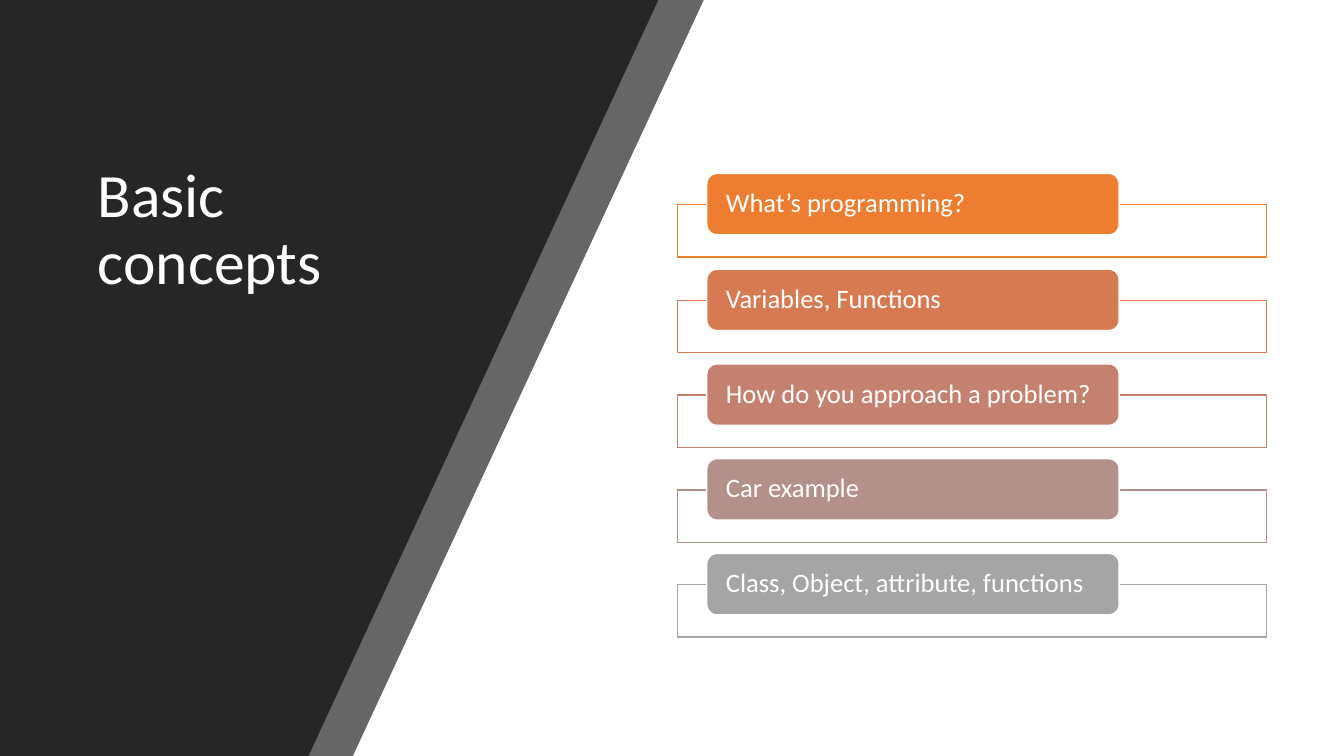
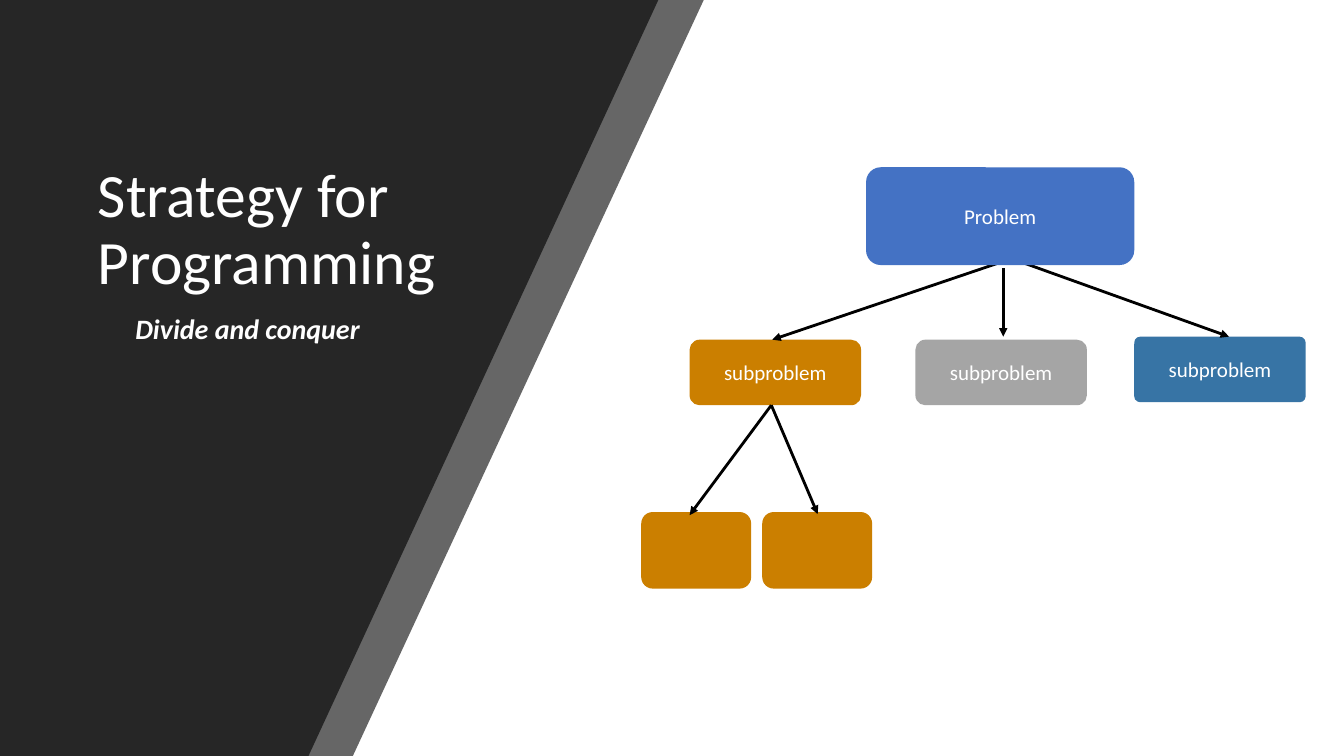
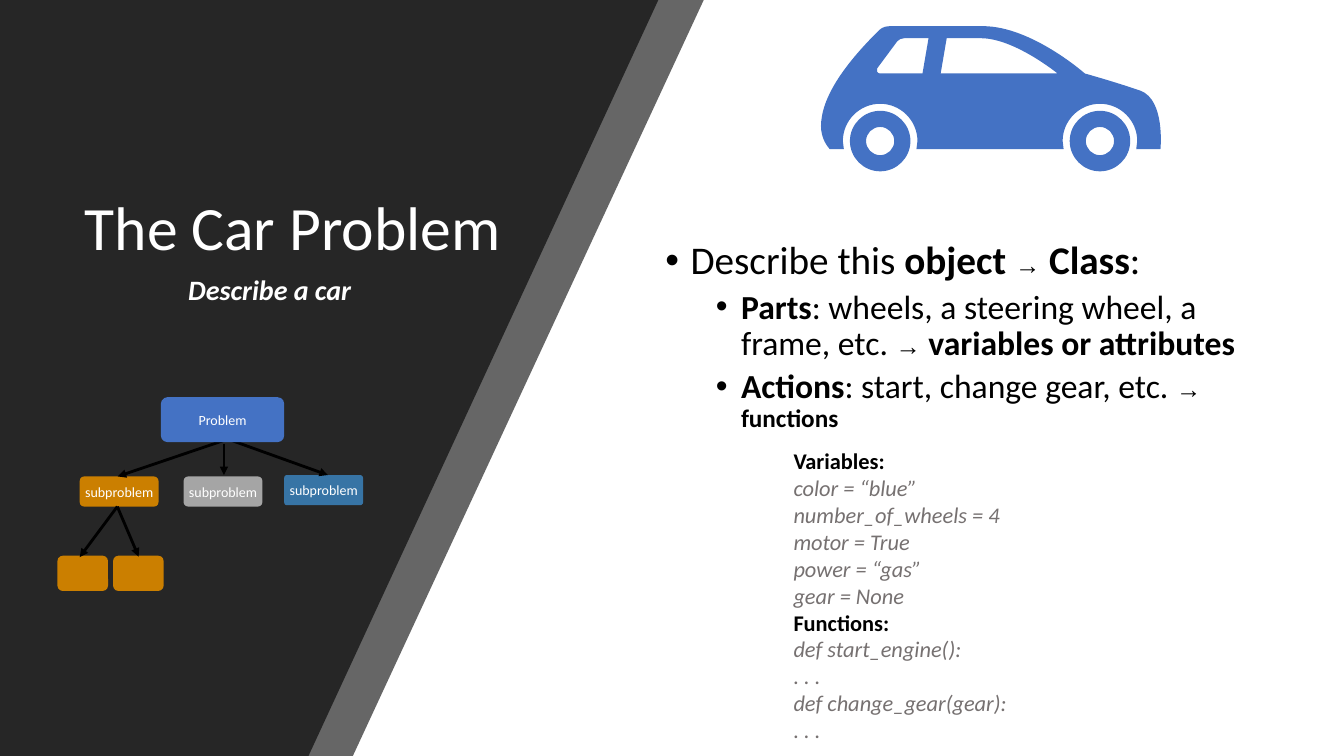
from lxml import etree
from pptx import Presentation
from pptx.dml.color import RGBColor
from pptx.enum.shapes import MSO_CONNECTOR, MSO_SHAPE
from pptx.enum.text import MSO_ANCHOR, PP_ALIGN
from pptx.oxml.ns import qn
from pptx.util import Pt

RECT, ROUND = MSO_SHAPE.RECTANGLE, MSO_SHAPE.ROUNDED_RECTANGLE
STRAIGHT = MSO_CONNECTOR.STRAIGHT
TOP, MIDDLE = MSO_ANCHOR.TOP, MSO_ANCHOR.MIDDLE
LEFT, CENTER = PP_ALIGN.LEFT, PP_ALIGN.CENTER

PX = 9144  # EMU per px, 100 px to the inch
WIDTH, HEIGHT = 1333, 750

WHITE = RGBColor(0xFF, 0xFF, 0xFF)
BLACK = RGBColor(0x00, 0x00, 0x00)
DARK = RGBColor(0x26, 0x26, 0x26)
CODE_GRAY = RGBColor(0x76, 0x71, 0x71)
GRAY = RGBColor(0xA5, 0xA5, 0xA5)
BLUE = RGBColor(0x44, 0x72, 0xC4)
STEEL = RGBColor(0x37, 0x74, 0xA5)
AMBER = RGBColor(0xCB, 0x7F, 0x00)
ORANGE = RGBColor(0xED, 0x7D, 0x31)
RUST = RGBColor(0xD8, 0x7A, 0x51)
ROSE = RGBColor(0xC4, 0x81, 0x70)
MAUVE = RGBColor(0xB4, 0x90, 0x8B)


def emu(px):
    return round(px * PX)


def arch(cx, cy, r):
    """Two curves over the top of a wheel, between points just below its axle."""
    k = r * 0.55
    return [(cx - r, cy, cx - r, cy, cx - r, cy),
            (cx - r, cy - k, cx - k, cy - r, cx, cy - r),
            (cx + k, cy - r, cx + r, cy - k, cx + r, cy)]


def circle(cx, cy, r):
    k = r * 0.55
    return [(cx, cy - r),
            (cx - k, cy - r, cx - r, cy - k, cx - r, cy),
            (cx - r, cy + k, cx - k, cy + r, cx, cy + r),
            (cx + k, cy + r, cx + r, cy + k, cx + r, cy),
            (cx + r, cy - k, cx + k, cy - r, cx, cy - r)]


def add_run(p, text, size=18, color=BLACK, bold=False, italic=False, font="Calibri"):
    r = p.add_run()
    r.text = text
    r.font.name, r.font.size = font, Pt(size)
    r.font.bold, r.font.italic = bold, italic
    r.font.color.rgb = color


class Deck:
    def __init__(self):
        self.prs = Presentation()
        self.prs.slide_width, self.prs.slide_height = emu(WIDTH), emu(HEIGHT)
        self.s = None

    def slide(self, title, left=92, width=358):
        """New slide with the slanted dark panel and its title."""
        self.s = self.prs.slides.add_slide(self.prs.slide_layouts[6])
        for top_x, bottom_x, alpha in ((698, 350, 70), (653, 306, 100)):
            panel = [(0, 0), (top_x, 0), (bottom_x, HEIGHT), (0, HEIGHT)]
            self.outline([panel], DARK, alpha)
        self.text((left, 49, width, 360), [[(title, dict(size=44, color=WHITE))]],
                  anchor=MIDDLE, spacing=0.9)

    def subtitle(self, text, left, top):
        style = dict(size=20, color=WHITE, bold=True, italic=True)
        self.text((left, top, 435, 37), [[(text, style)]], align=CENTER)

    def paint(self, sp, fill, alpha=100, line=None):
        sp.shadow.inherit = False
        sp.fill.solid()
        sp.fill.fore_color.rgb = fill
        if alpha < 100:
            color = sp.fill._xPr.find(qn("a:solidFill"))[0]
            etree.SubElement(color, qn("a:alpha"), val=str(alpha * 1000))
        if line is None:
            sp.line.fill.background()
        else:
            sp.line.color.rgb = line
            sp.line.width = Pt(1)

    def outline(self, contours, fill, alpha=100):
        """One freeform; a step is a corner (x, y) or a curve of three points."""
        builder = None
        for contour in contours:
            ends = [(emu(step[-2]), emu(step[-1])) for step in contour]
            if builder is None:
                builder = self.s.shapes.build_freeform(*ends[0], scale=1.0)
            else:
                builder.move_to(*ends[0])
            builder.add_line_segments(ends[1:], close=False)
            builder.add_line_segments([], close=True)
        sp = builder.convert_to_shape()
        # Bend the segments that have control points
        steps = [step for contour in contours for step in contour[1:]]
        for segment, step in zip(list(sp._element.iter(qn("a:lnTo"))), steps):
            if len(step) == 6:
                segment.tag = qn("a:cubicBezTo")
                for i in (0, 2):
                    pt = etree.Element(qn("a:pt"), x=str(emu(step[i]) - sp.left),
                                       y=str(emu(step[i + 1]) - sp.top))
                    segment.insert(i // 2, pt)
        self.paint(sp, fill, alpha)

    def fill_frame(self, tf, paragraphs, align=LEFT, anchor=TOP, inset=5,
                   spacing=None, indents=None, gaps=None):
        """Paragraphs are lists of (text, format); indents make them bullets."""
        tf.word_wrap = True
        tf.vertical_anchor = anchor
        tf.margin_left = tf.margin_right = emu(inset)
        tf.margin_top = tf.margin_bottom = emu(5)
        for i, runs in enumerate(paragraphs):
            p = tf.paragraphs[0] if i == 0 else tf.add_paragraph()
            p.alignment = align
            if spacing:
                p.line_spacing = spacing
            if gaps:
                p.space_before = Pt(gaps[i])
            if indents:
                pPr = p._p.get_or_add_pPr()
                pPr.set("marL", str(emu(indents[i])))
                pPr.set("indent", str(emu(-25)))
                etree.SubElement(pPr, qn("a:buFont"), typeface="Arial")
                etree.SubElement(pPr, qn("a:buChar"), char="•")
            for text, style in runs:
                add_run(p, text, **style)

    def text(self, box, paragraphs, **layout):
        sp = self.s.shapes.add_textbox(*map(emu, box))
        self.fill_frame(sp.text_frame, paragraphs, **layout)

    def box(self, kind, box, fill, label="", size=15, radius=0.15, align=CENTER,
            inset=2, spacing=None, alpha=100, line=None):
        sp = self.s.shapes.add_shape(kind, *map(emu, box))
        self.paint(sp, fill, alpha, line)
        if kind == ROUND:
            sp.adjustments[0] = radius
        if label:
            self.fill_frame(sp.text_frame, [[(label, dict(size=size, color=WHITE))]],
                            align=align, anchor=MIDDLE, inset=inset, spacing=spacing)

    def arrow(self, x1, y1, x2, y2):
        c = self.s.shapes.add_connector(STRAIGHT, *map(emu, (x1, y1, x2, y2)))
        c.line.color.rgb = BLACK
        c.line.width = Pt(2)
        etree.SubElement(c.line._get_or_add_ln(), qn("a:tailEnd"), type="triangle")
        etree.SubElement(c._element.spPr, qn("a:effectLst"))

    def tree(self, left, top, scale, size):
        """Problem tree; parts are placed from its own top left corner."""
        def node(x, y, w, h, fill, label="", radius=0.15):
            box = (left + x * scale, top + y * scale, w * scale, h * scale)
            self.box(ROUND, box, fill, label, size, radius)

        def link(x1, y1, x2, y2):
            self.arrow(left + x1 * scale, top + y1 * scale,
                       left + x2 * scale, top + y2 * scale)

        node(489, 168, 170, 65, STEEL, "subproblem", 0.09)
        link(363, 89, 583, 168)
        node(48, 171, 170, 65, AMBER, "subproblem")
        link(366, 91, 130, 171)
        node(223, 0, 266, 97, BLUE, "Problem")
        node(272, 171, 170, 65, GRAY, "subproblem")
        link(359, 100, 359, 168)
        for x, tip_x, tip_y in ((0, 48, 345), (120, 175, 344)):
            node(x, 342, 109, 76, AMBER)
            link(129, 236, tip_x, tip_y)

    def car(self):
        wheels = ((873, 140), (1091, 140))
        rear_arch, front_arch = (
            [(x - 36, 148), (x - 36, 145, x - 37, 143, x - 37, y),
             *arch(x, y, 37)[1:], (x + 37, 143, x + 36, 145, x + 36, 148)]
            for x, y in wheels)
        body = [(883, 26), (879, 26, 875, 27, 872, 30),
                (858, 44, 820, 82, 815, 117), (813, 128, 815, 139, 823, 148),
                *rear_arch, *front_arch, (1151, 148),
                (1151, 148, 1156, 99, 1131, 90), (1105, 81, 1076, 73, 1076, 73),
                (1076, 73, 1023, 26, 975, 26), (883, 26)]
        rear_window = [(897, 38), (921, 38), (915, 73), (873, 73),
                       (870, 73, 869, 70, 870, 68), (890, 41),
                       (892, 39, 894, 38, 897, 38)]
        front_window = [(939, 38), (973, 38), (1006, 38, 1049, 73, 1049, 73),
                        (933, 73), (939, 38)]
        rings = [circle(x, y, r) for r in (30, 14) for x, y in wheels]
        self.outline([body, rear_window, front_window, *rings], BLUE)


def main():
    deck = Deck()

    # Topic list
    deck.slide("Basic concepts")
    topics = (("What’s programming?", ORANGE), ("Variables, Functions", RUST),
              ("How do you approach a problem?", ROSE), ("Car example", MAUVE),
              ("Class, Object, attribute, functions", GRAY))
    for i, (topic, color) in enumerate(topics):
        top = (1727 + i * 943) // 10
        deck.box(RECT, (672, top + 31, 584, 52), WHITE, alpha=90, line=color)
        deck.box(ROUND, (701, top, 409, 61), color, topic, size=19, radius=0.17,
                 align=LEFT, inset=16, spacing=0.9, line=WHITE)

    # Divide and conquer
    deck.slide("Strategy for Programming")
    deck.subtitle("Divide and conquer", 28, 304)
    deck.tree(636, 166, 1, 15)

    # Car as a class
    deck.slide("The Car Problem", left=79, width=432)
    deck.subtitle("Describe a car", 50, 265)
    deck.tree(57, 394, 0.46, 10)
    big, big_bold = dict(size=28), dict(size=28, bold=True)
    mid, mid_bold = dict(size=24), dict(size=24, bold=True)
    sign = dict(size=18, font="Arial")
    deck.text((655, 234, 607, 476), [
        [("Describe this ", big), ("object ", big_bold), ("→", sign),
         (" Class", big_bold), (":", big)],
        [("Parts", mid_bold), (": wheels, a steering wheel, a frame, etc. ", mid),
         ("→", sign), (" variables or attributes", mid_bold)],
        [("Actions", mid_bold), (": start, change gear, etc. ", mid),
         ("→ ", sign), ("functions", dict(size=18, bold=True))],
    ], spacing=0.9, indents=(25, 75, 75), gaps=(0, 5, 5))
    deck.car()

    # Code outline
    heading = dict(size=16, bold=True)
    code = dict(size=16, color=CODE_GRAY, italic=True)
    members = (("Variables:", ("color = “blue”", "number_of_wheels = 4",
                               "motor = True", "power = “gas”", "gear = None")),
               ("Functions:", ("def start_engine():", ". . .",
                               "def change_gear(gear):", ". . .")))
    lines = []
    for name, rows in members:
        lines.append([(name, heading)])
        lines += [[(row, code)] for row in rows]
    deck.text((782, 439, 581, 311), lines)

    deck.prs.save("out.pptx")


if __name__ == "__main__":
    main()
